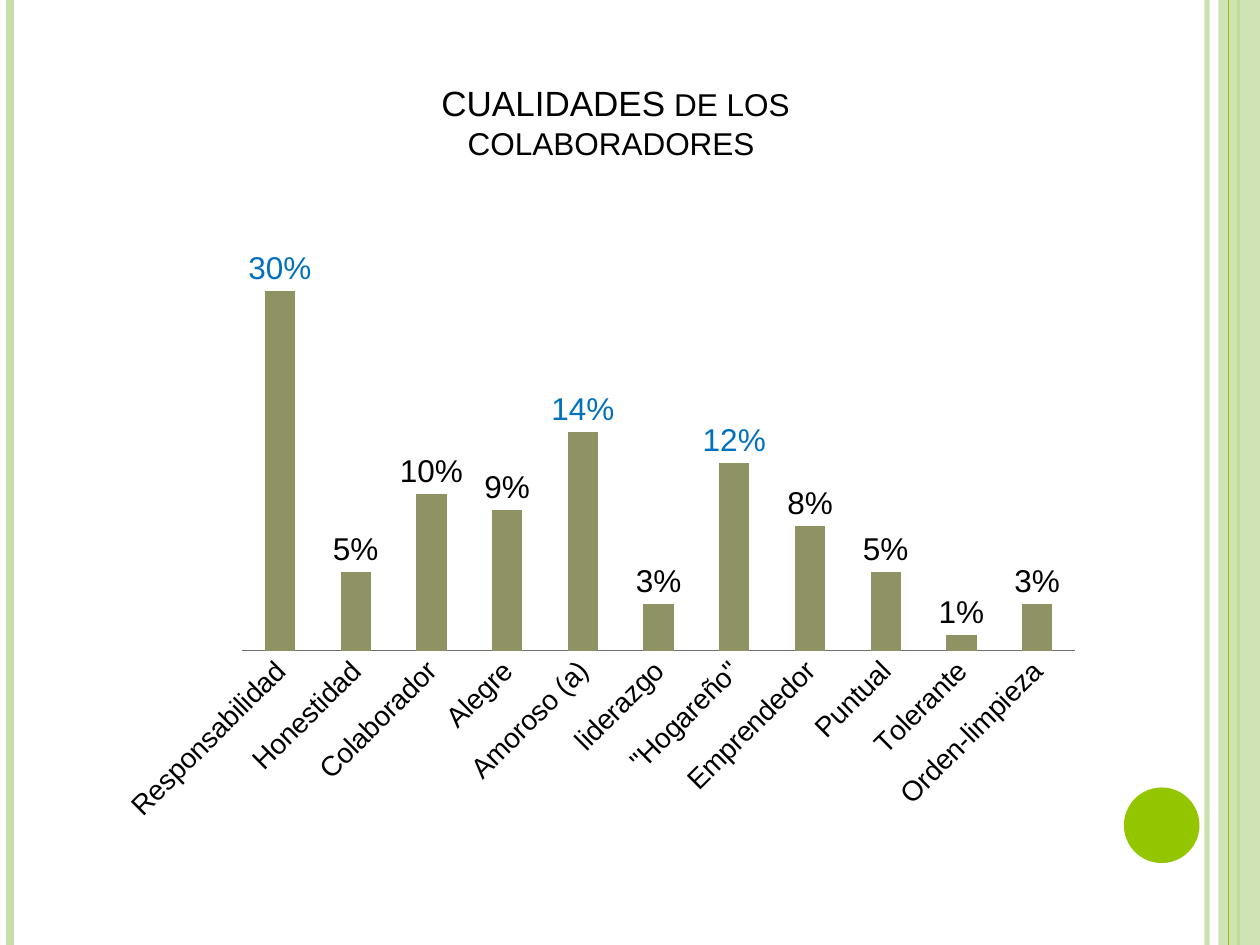
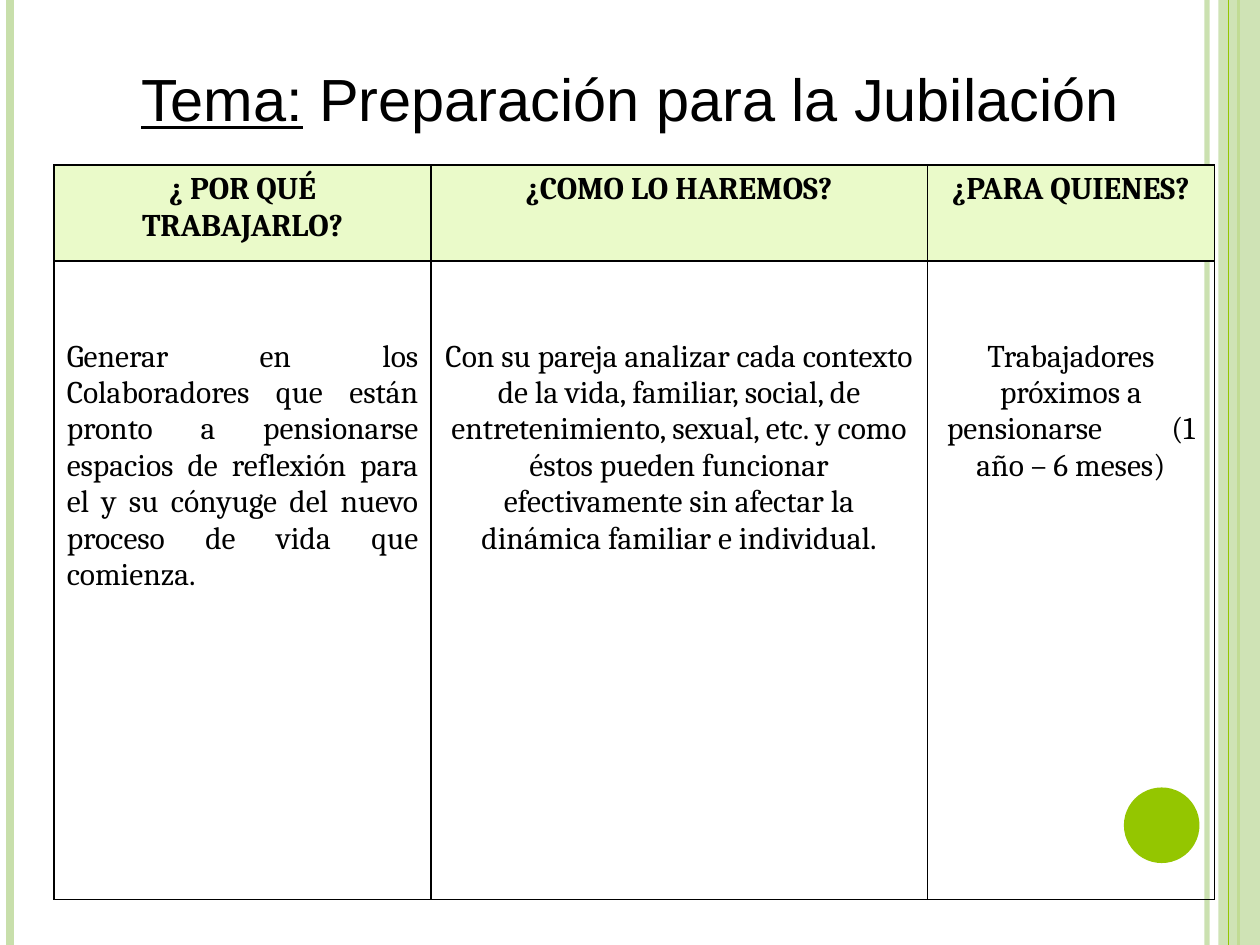
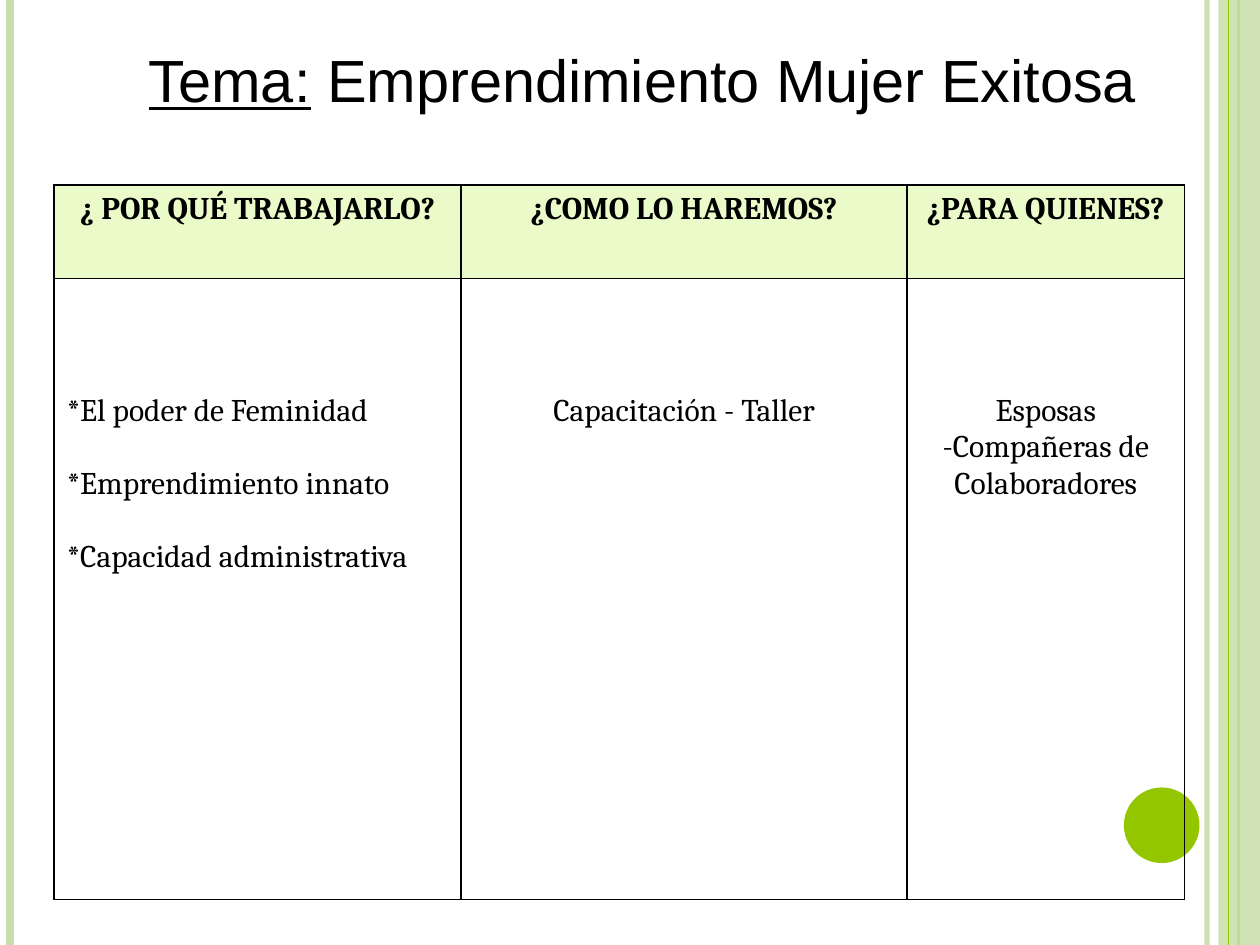
from lxml import etree
from pptx import Presentation
from pptx.chart.data import CategoryChartData
from pptx.dml.color import RGBColor
from pptx.enum.chart import XL_CHART_TYPE as Kind, XL_LABEL_POSITION as Spot
from pptx.enum.chart import XL_TICK_LABEL_POSITION as Tick, XL_TICK_MARK as Mark
from pptx.enum.shapes import MSO_CONNECTOR as Link, MSO_SHAPE as Form
from pptx.enum.text import MSO_ANCHOR as Anchor, MSO_AUTO_SIZE as Auto, PP_ALIGN as Align
from pptx.oxml import parse_xml
from pptx.oxml.ns import nsdecls, qn
from pptx.util import Inches, Pt

GREEN, PALE, MINT = "94C600", "C8DFAB", "EAFAC9"
BLACK, BLUE, OLIVE, GREY = "000000", "0070C0", "8F9364", "707070"
SANS, SERIF = "Arial", "Cambria"

# x, line width, colour, opacity in percent
RULES = [(9.58, 3, PALE, 93), (0.08, 4.5, PALE, 100),
         (9.83, 1.5, GREEN, 100), (9.75, 0.75, GREEN, 100)]
BAND = (9.67, 0, 0.33, 7.5)
DOT = (8.92, 6.25, 0.6, 0.6)

TRAITS = [("Responsabilidad", 0.30), ("Honestidad", 0.05), ("Colaborador", 0.10),
          ("Alegre", 0.09), ("Amoroso (a)", 0.14), ("liderazgo", 0.03),
          ('"Hogareño"', 0.12), ("Emprendedor", 0.08), ("Puntual", 0.05),
          ("Tolerante", 0.01), ("Orden-limpieza", 0.03)]
TOP = 0.12  # shares from here up get a blue label
PEAK = 0.23  # the axis ends here, so the first bar is cut
CHART = (0.82, 1.72, 7.87, 4.92)
PLOT = {"x": 0.14, "y": 0.12, "w": 0.84, "h": 0.58}

STOP = 1.78  # tab stop in table cells
HEADS = ["¿ POR QUÉ TRABAJARLO?", "¿COMO LO HAREMOS?", "¿PARA QUIENES?"]
TOPICS = [
    {"name": " Preparación para la Jubilación", "title": (0.67, 0.44, 8.66, 0.8),
     "at": (0.43, 1.31), "cols": [2.99, 3.94, 2.28], "rows": [0.76, 5.07], "drop": 0.62,
     "body": [
         ["Generar en los Colaboradores que están pronto a pensionarse espacios de "
          "reflexión para el y su cónyuge del nuevo proceso de vida que comienza."],
         ["Con su pareja analizar cada contexto de la vida, familiar, social, de "
          "entretenimiento, sexual, etc. y como éstos pueden funcionar efectivamente "
          "sin afectar la dinámica familiar e individual."],
         ["Trabajadores próximos a\npensionarse\t(1\naño – 6 meses)"]]},
    {"name": " Emprendimiento Mujer Exitosa", "title": (0.2, 0.29, 9.8, 0.8),
     "at": (0.43, 1.47), "cols": [3.23, 3.54, 2.2], "rows": [0.74, 4.93], "drop": 0.91,
     "body": [
         ["*El poder de Feminidad", "*Emprendimiento innato", "*Capacidad administrativa"],
         ["Capacitación - Taller"],
         ["Esposas\n-Compañeras de Colaboradores"]]},
]


def tint(code):
    return RGBColor.from_string(code)


def box(at):
    return [Inches(n) for n in at]


def style(font, size, face=SANS, color=BLACK, bold=False, under=False):
    font.size, font.name, font.bold, font.underline = Pt(size), face, bold, under
    font.color.rgb = tint(color)


def write(par, text, align, size, **look):
    """Add text to a paragraph; a newline becomes a line break."""
    par.alignment = align
    if "\t" in text:
        tabs = etree.SubElement(par._p.get_or_add_pPr(), qn("a:tabLst"))
        etree.SubElement(tabs, qn("a:tab"), pos=str(Inches(STOP)), algn="l")
    for k, part in enumerate(text.split("\n")):
        if k:
            par.add_line_break()
        run = par.add_run()
        run.text = part
        style(run.font, size, **look)


def fade(shape, pct):
    for node in shape._element.spPr.iter(qn("a:srgbClr")):
        etree.SubElement(node, qn("a:alpha")).set("val", str(pct * 1000))


def rule(slide, x, width, color, pct):
    line = slide.shapes.add_connector(Link.STRAIGHT, *box((x, 0, x, 7.5)))
    line.line.width = Pt(width)
    line.line.color.rgb = tint(color)
    fade(line, pct)
    etree.SubElement(line._element.spPr, qn("a:effectLst"))
    return line


def block(slide, form, at, color, pct=100):
    shape = slide.shapes.add_shape(form, *box(at))
    shape.shadow.inherit = False
    shape.fill.solid()
    shape.fill.fore_color.rgb = tint(color)
    shape.line.fill.background()
    fade(shape, pct)
    return shape


def dress(master, slide):
    """Draw the side bands and dot, then move them to the master for all slides."""
    lines = [rule(slide, *row) for row in RULES]
    band = block(slide, Form.RECTANGLE, BAND, PALE, 87)
    dot = block(slide, Form.OVAL, DOT, GREEN)
    parts = lines[:3] + [band, lines[3], dot]
    for k, part in enumerate(parts, 50):
        node = part._element
        next(node.iter(qn("p:cNvPr"))).set("id", str(k))
        master.shapes.element.append(node)


def head(slide, at, runs):
    """Fill the title from (text, size, underline) runs."""
    title = slide.shapes.title
    title.left, title.top, title.width, title.height = box(at)
    frame = title.text_frame
    frame.word_wrap, frame.auto_size = True, Auto.NONE
    frame.vertical_anchor = Anchor.TOP
    for text, size, under in runs:
        write(frame.paragraphs[0], text, Align.CENTER, size, under=under)


def graph(slide):
    data = CategoryChartData(number_format="0%")
    data.categories = [name for name, _ in TRAITS]
    data.add_series("Series 1", [share for _, share in TRAITS])
    chart = slide.shapes.add_chart(Kind.COLUMN_CLUSTERED, *box(CHART), data).chart
    chart.has_legend = chart.has_title = False
    style(chart.font, 18)

    plot = chart.plots[0]
    plot.gap_width, plot.overlap, plot.vary_by_categories = 150, -25, False
    bars = plot.series[0]
    bars.format.fill.solid()
    bars.format.fill.fore_color.rgb = tint(OLIVE)
    tags = bars.data_labels
    tags.show_value, tags.position = True, Spot.OUTSIDE_END
    tags.number_format, tags.number_format_is_linked = "0%", False
    style(tags.font, 18)
    for k, (_, share) in enumerate(TRAITS):
        if share >= TOP:
            tag = bars.points[k].data_label
            style(tag.font, 18, color=BLUE)
            tag.position = Spot.OUTSIDE_END

    val, cat = chart.value_axis, chart.category_axis
    val.minimum_scale, val.maximum_scale = 0, PEAK
    val.has_major_gridlines = val.visible = False
    cat.major_tick_mark = Mark.NONE
    cat.tick_label_position = Tick.NEXT_TO_AXIS
    cat.format.line.color.rgb = tint(GREY)
    style(cat.tick_labels.font, 16)
    cat._element.find(qn("c:txPr")).find(qn("a:bodyPr")).set("rot", "-2700000")

    area = chart._chartSpace.chart.plotArea
    for old in area.findall(qn("c:layout")):
        area.remove(old)
    marks = "".join(f'<c:{k}Mode val="edge"/>' for k in "xy")
    sizes = "".join(f'<c:{k} val="{v}"/>' for k, v in PLOT.items())
    area.insert(0, parse_xml(
        f'<c:layout {nsdecls("c")}><c:manualLayout><c:layoutTarget val="inner"/>'
        f'{marks}{sizes}</c:manualLayout></c:layout>'))


def edge(cell):
    props = cell._tc.get_or_add_tcPr()
    for k, side in enumerate(("lnL", "lnR", "lnT", "lnB")):
        props.insert(k, parse_xml(
            f'<a:{side} {nsdecls("a")} w="12700"><a:solidFill>'
            f'<a:srgbClr val="{BLACK}"/></a:solidFill></a:{side}>'))


def grid(slide, topic):
    cols, rows = topic["cols"], topic["rows"]
    size = (sum(cols), sum(rows))
    table = slide.shapes.add_table(2, len(cols), *box(topic["at"] + size)).table
    table.first_row = table.horz_banding = False
    for row, high in zip(table.rows, rows):
        row.height = Inches(high)
    for c, wide in enumerate(cols):
        table.columns[c].width = Inches(wide)
        top, body = table.cell(0, c), table.cell(1, c)
        top.fill.solid()
        top.fill.fore_color.rgb = tint(MINT)
        write(top.text_frame.paragraphs[0], HEADS[c], Align.CENTER, 18, face=SERIF, bold=True)
        body.fill.background()
        body.margin_top = Inches(topic["drop"])
        align = Align.CENTER if c else Align.JUSTIFY
        for k, text in enumerate(topic["body"][c]):
            frame = body.text_frame
            par = frame.add_paragraph() if k else frame.paragraphs[0]
            if k:
                par.space_before = Pt(21)
            write(par, text, align, 18, face=SERIF)
        edge(top)
        edge(body)


def main():
    deck = Presentation()
    deck.slide_width, deck.slide_height = Inches(10), Inches(7.5)
    plain = deck.slide_layouts[5]

    slide = deck.slides.add_slide(plain)
    dress(deck.slide_master, slide)
    head(slide, (2.64, 0.6, 4.49, 1.31),
         [("CUALIDADES", 20, False), (" DE LOS COLABORADORES ", 18, False)])
    graph(slide)

    for topic in TOPICS:
        slide = deck.slides.add_slide(plain)
        head(slide, topic["title"], [("Tema:", 34, True), (topic["name"], 34, False)])
        grid(slide, topic)
    deck.save("out.pptx")


if __name__ == "__main__":
    main()
